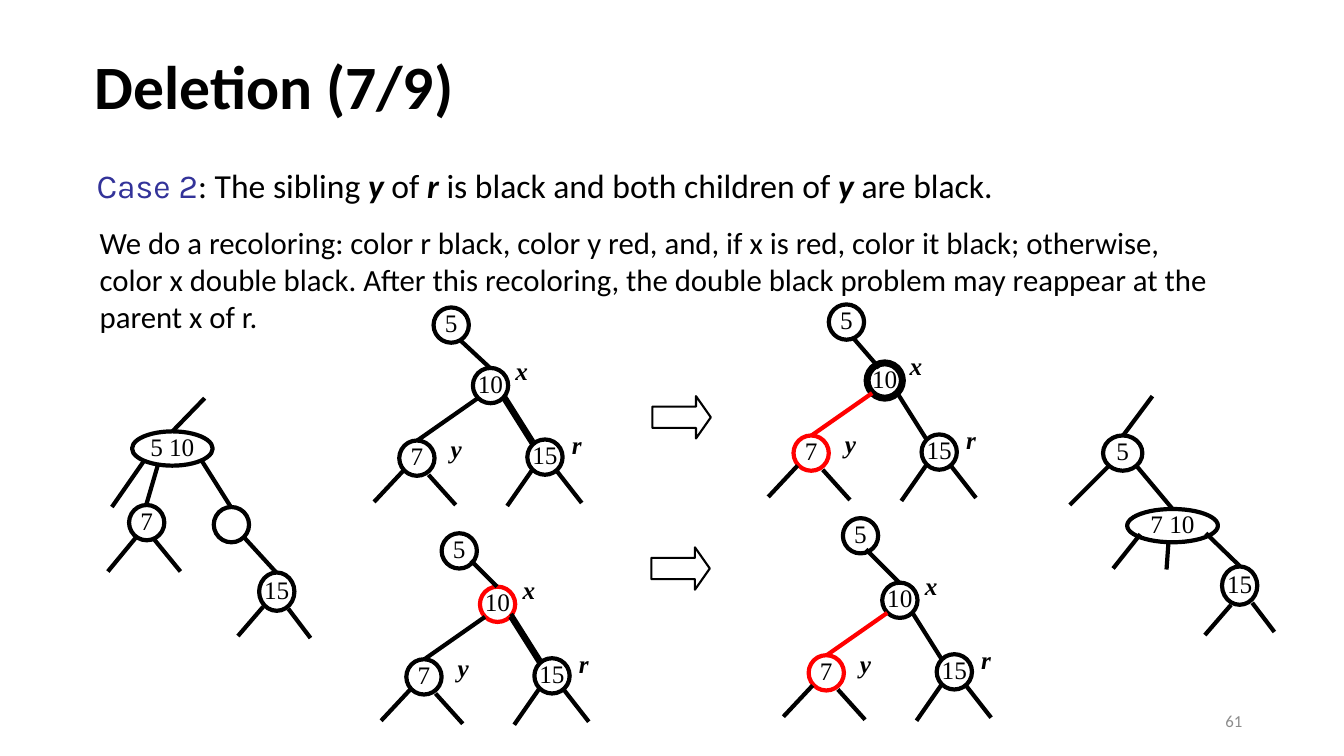
"""Build the slide on case 2 of deletion in a red-black tree."""
from lxml.etree import SubElement
from pptx import Presentation
from pptx.dml.color import RGBColor
from pptx.enum.shapes import MSO_CONNECTOR, MSO_SHAPE
from pptx.enum.text import MSO_ANCHOR, PP_ALIGN
from pptx.oxml.ns import qn
from pptx.util import Inches, Pt

BLACK, WHITE, RED, BLUE, GRAY = "000000", "FFFFFF", "FF0000", "333399", "8C8C8C"
SERIF = "Times New Roman"


def color(hex_code):
    return RGBColor.from_string(hex_code)


def write(frame, runs, size, font_name, align=PP_ALIGN.LEFT, ink=BLACK):
    paragraph = frame.paragraphs[0]
    paragraph.alignment = align
    for words, changes in runs:
        run = paragraph.add_run()
        run.text = words
        look = {"name": font_name, "size": Pt(size), "bold": False, "italic": False, **changes}
        for key, value in look.items():
            setattr(run.font, key, value)
        run.font.color.rgb = color(BLUE if font_name != look["name"] else ink)
    return paragraph


deck = Presentation()
deck.slide_width, deck.slide_height = Inches(13.33), Inches(7.5)
slide = deck.slides.add_slide(deck.slide_layouts[6])
shapes = slide.shapes

strong = {"bold": True, "italic": True}
case_runs = [
    ("Case 2", {"name": "Karla"}), (": The sibling ", {}), ("y", strong), (" of ", {}),
    ("r", strong), (" is black and both children of ", {}), ("y ", strong), ("are black.", {}),
]
recoloring = (
    "We do a recoloring: color r black, color y red, and, if x is red, color it black; "
    "otherwise, color x double black. After this recoloring, the double black problem "
    "may reappear at the parent x of r."
)
passages = [
    (0.84, 0.16, 11.5, 1.45, [("Deletion (7/9)", {"bold": True})], 44, "Calibri", PP_ALIGN.LEFT, BLACK),
    (0.86, 1.59, 10.52, 0.5, case_runs, 24, "Calibri", PP_ALIGN.LEFT, BLACK),
    (0.89, 2.17, 11.33, 1.21, [(recoloring, {})], 22, "Calibri", PP_ALIGN.LEFT, BLACK),
    (9.42, 6.95, 3, 0.4, [("61", {})], 12, "Calibri", PP_ALIGN.RIGHT, GRAY),
]

nodes = [
    (1.28, 5.01, 0.35, 0.35, "7", BLACK, 3),
    (1.31, 4.28, 0.8, 0.34, "5 10", BLACK, 3),
    (2.12, 5.03, 0.35, 0.35, "", BLACK, 3),
    (2.57, 5.68, 0.35, 0.38, "15", BLACK, 3),
    (11.18, 5.05, 0.9, 0.33, "7 10", BLACK, 3),
    (10.94, 4.32, 0.39, 0.35, "5", BLACK, 3),
    (12.12, 5.62, 0.35, 0.38, "15", BLACK, 3),
]
edges = [
    (2.29, 5.03, 2, 4.57, BLACK), (1.11, 5.03, 1.43, 4.57, BLACK),
    (2.36, 6.31, 2.61, 6.02, BLACK), (2.42, 5.33, 2.74, 5.68, BLACK),
    (1.52, 5.34, 1.79, 5.67, BLACK), (1.45, 5.01, 1.57, 4.6, BLACK),
    (1.71, 4.28, 2.03, 3.95, BLACK), (2.86, 6.04, 3.08, 6.33, BLACK),
    (1.07, 5.67, 1.35, 5.33, BLACK),
    (10.61, 5.01, 11, 4.62, BLACK), (11.95, 6.3, 12.21, 6, BLACK),
    (11.96, 5.29, 12.3, 5.62, BLACK), (11.59, 5.37, 11.57, 5.65, BLACK),
    (11.63, 5.05, 11.27, 4.62, BLACK), (11.14, 4.32, 11.43, 3.93, BLACK),
    (11.04, 5.64, 11.31, 5.3, BLACK), (12.42, 5.98, 12.64, 6.27, BLACK),
]

# x of node 10, its y, its colour and weight, colour of y, root, root edge, doubled edge to r
trees = [
    (4.69, 3.65, BLACK, 3, BLACK, (4.3, 3.05), (4.57, 3.38, 4.86, 3.65), True),
    (8.6, 3.6, BLACK, 5, RED, (8.22, 3.02), (8.46, 3.35, 8.72, 3.65), False),
    (4.76, 5.82, RED, 3, BLACK, (4.38, 5.29), (4.67, 5.56, 4.93, 5.82), True),
    (8.75, 5.78, BLACK, 3, RED, (8.36, 5.14), (8.59, 5.45, 8.92, 5.78), False),
]
for x, y, x_color, x_weight, y_color, root, root_edge, doubled in trees:
    nodes += [
        (x, y, 0.35, 0.35, "10", x_color, x_weight),
        (x + 0.54, y + 0.71, 0.35, 0.35, "15", BLACK, 3),
        (x - 0.73, y + 0.72, 0.35, 0.35, "7", y_color, 3),
        (*root, 0.35, 0.35, "5", BLACK, 3),
    ]
    branches = [
        (0.59, 0.76, 0.3, 0.3, BLACK), (-0.55, 0.72, 0.05, 0.3, y_color),
        (0.34, 1.37, 0.59, 1.01, BLACK), (0.83, 1.02, 1.08, 1.34, BLACK),
        (-0.98, 1.33, -0.69, 1.02, BLACK), (-0.44, 1.06, -0.17, 1.36, BLACK),
    ]
    if doubled:
        branches.append((0.6, 0.73, 0.31, 0.27, BLACK))
    edges += [(x + x1, y + y1, x + x2, y + y2, ink) for x1, y1, x2, y2, ink in branches]
    edges.append((*root_edge, BLACK))
    for letter, dx, dy, width in [("r", 0.86, 0.56, 0.34), ("y", -0.5, 0.6, 0.67), ("x", 0.18, -0.17, 0.61)]:
        passages.append((x + dx, y + dy, width, 0.4, [(letter, strong)], 18, SERIF, PP_ALIGN.CENTER, BLACK))

for left, top, width, height, runs, size, font_name, align, ink in passages:
    frame = shapes.add_textbox(Inches(left), Inches(top), Inches(width), Inches(height)).text_frame
    frame.word_wrap = True
    paragraph = write(frame, runs, size, font_name, align, ink)
    if size in (44, 12):
        frame.vertical_anchor = MSO_ANCHOR.MIDDLE
    if size == 44:
        paragraph.line_spacing = 0.9

for left, top, width, height, key, outline, weight in nodes:
    node = shapes.add_shape(MSO_SHAPE.OVAL, Inches(left), Inches(top), Inches(width), Inches(height))
    node.shadow.inherit = False
    node.fill.solid()
    node.fill.fore_color.rgb = color(WHITE)
    node.line.color.rgb = color(outline)
    node.line.width = Pt(weight)
    frame_format = {
        "margin_left": 0, "margin_top": 0, "margin_right": 0, "margin_bottom": Inches(0.05),
        "word_wrap": False, "vertical_anchor": MSO_ANCHOR.MIDDLE,
    }
    for name, value in frame_format.items():
        setattr(node.text_frame, name, value)
    if key:
        write(node.text_frame, [(key, {})], 18, SERIF, PP_ALIGN.CENTER)

for x1, y1, x2, y2, ink in edges:
    edge = shapes.add_connector(MSO_CONNECTOR.STRAIGHT, Inches(x1), Inches(y1), Inches(x2), Inches(y2))
    edge.line.color.rgb = color(ink)
    edge.line.width = Pt(3)
    SubElement(edge._element.spPr, qn("a:effectLst"))

for left, top in [(6.47, 3.93), (6.46, 5.43)]:
    step = shapes.add_shape(MSO_SHAPE.RIGHT_ARROW, Inches(left), Inches(top), Inches(0.58), Inches(0.42))
    step.shadow.inherit = False
    step.adjustments[0], step.adjustments[1] = 0.5, 0.35
    step.fill.background()
    step.line.color.rgb = color(BLACK)
    step.line.width = Pt(1.5)

deck.save("out.pptx")
